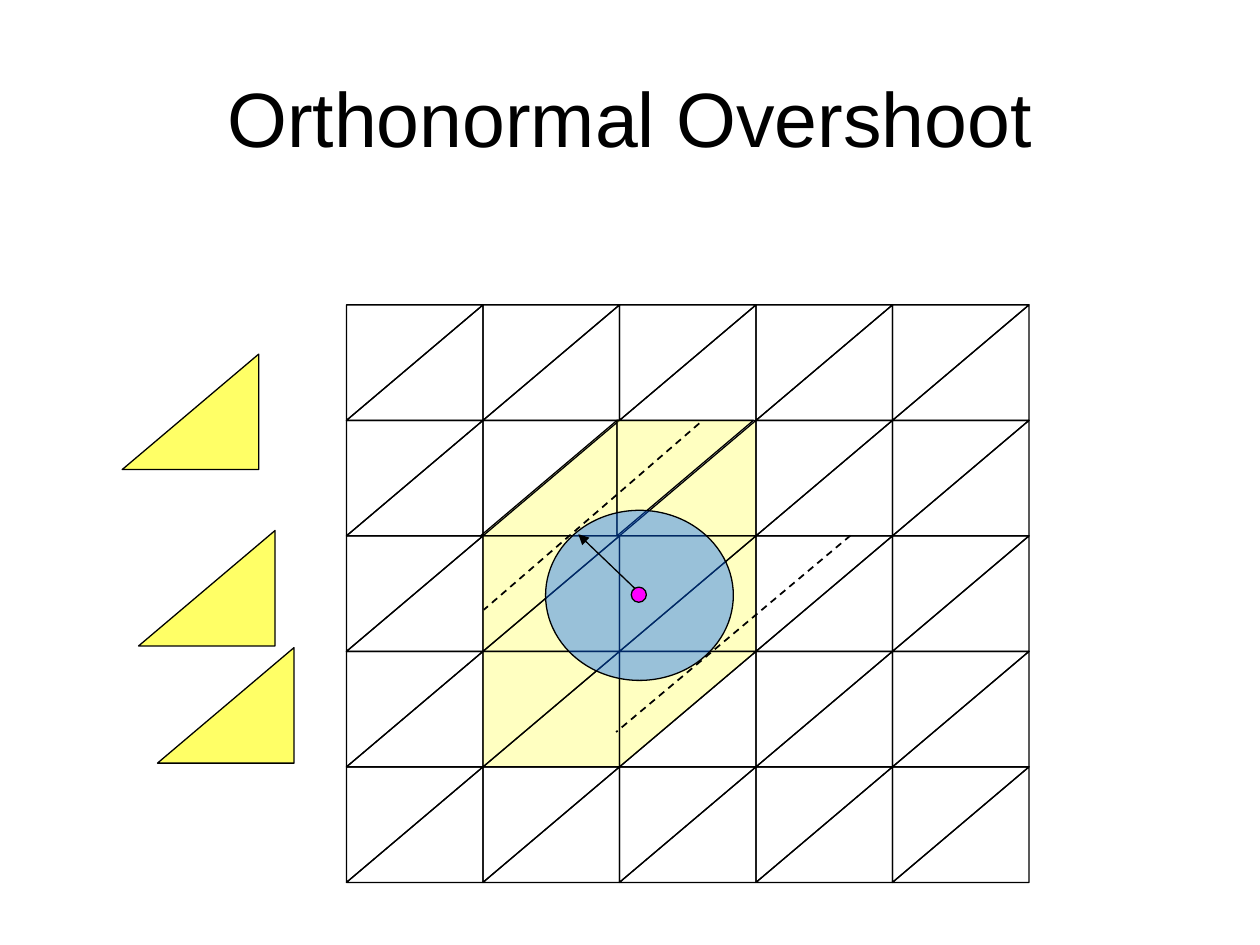
from dataclasses import dataclass

from lxml import etree
from pptx import Presentation
from pptx.dml.color import RGBColor
from pptx.enum.dml import MSO_LINE
from pptx.enum.shapes import MSO_CONNECTOR, MSO_SHAPE
from pptx.enum.text import MSO_ANCHOR, PP_ALIGN
from pptx.oxml.ns import qn
from pptx.util import Inches, Pt

TRIANGLE = MSO_SHAPE.RIGHT_TRIANGLE
ELLIPSE = MSO_SHAPE.OVAL
STRAIGHT = MSO_CONNECTOR.STRAIGHT
DASH = MSO_LINE.DASH

BLACK = "000000"
YELLOW = "FFFF66"
BLUE = "0066FF"
MAGENTA = "FF00FF"

ROWS = COLUMNS = 5
CELL_WIDTH, CELL_HEIGHT = 13 / 12, 11 / 12
GRID_LEFT, GRID_TOP = 2.75, 2.42
UPPER, LOWER = 90, 270  # rotation that puts the right angle top left / bottom right

# (row, column, half) of the shaded triangles, with their shift to the left
SHADED = {
    (1, 1, LOWER): 0.02,
    (1, 2, UPPER): 0.02,
    (1, 2, LOWER): 0,
    (2, 1, UPPER): 0,
    (2, 1, LOWER): 0,
    (2, 2, UPPER): 0,
    (2, 2, LOWER): 0,
    (3, 1, UPPER): 0,
    (3, 1, LOWER): 0,
    (3, 2, UPPER): 0,
}


@dataclass(frozen=True)
class Figure:
    kind: MSO_SHAPE
    left: float
    top: float
    width: float
    height: float
    fill: str | None = None
    opacity: int = 100
    rotation: int = 0


@dataclass(frozen=True)
class Segment:
    start: tuple[float, float]
    end: tuple[float, float]
    weight: float = 0.75
    dashed: bool = False
    arrow: bool = False


def rgb(color: str) -> RGBColor:
    return RGBColor.from_string(color)


def draw_figure(slide, figure: Figure) -> None:
    shape = slide.shapes.add_shape(
        figure.kind, Inches(figure.left), Inches(figure.top),
        Inches(figure.width), Inches(figure.height))
    shape.shadow.inherit = False
    shape.rotation = figure.rotation
    shape.line.color.rgb = rgb(BLACK)
    shape.line.width = Pt(0.75)
    if figure.fill is None:
        shape.fill.background()
        return
    shape.fill.solid()
    shape.fill.fore_color.rgb = rgb(figure.fill)
    if figure.opacity < 100:
        color = shape.fill._xPr.find(qn("a:solidFill"))[0]
        etree.SubElement(color, qn("a:alpha"), val=str(figure.opacity * 1000))


def draw_segment(slide, segment: Segment) -> None:
    points = [Inches(value) for value in (*segment.start, *segment.end)]
    connector = slide.shapes.add_connector(STRAIGHT, *points)
    connector.line.color.rgb = rgb(BLACK)
    connector.line.width = Pt(segment.weight)
    if segment.dashed:
        connector.line.dash_style = DASH
    if segment.arrow:
        etree.SubElement(connector.line._get_or_add_ln(), qn("a:tailEnd"), type="triangle")
    etree.SubElement(connector._element.spPr, qn("a:effectLst"))


def half_cell(left: float, top: float, half: int,
              fill: str | None = None, opacity: int = 100) -> Figure:
    """Triangle whose visible box starts at left, top; the turn swaps its sides."""
    inset = (CELL_WIDTH - CELL_HEIGHT) / 2
    return Figure(TRIANGLE, left + inset, top - inset, CELL_HEIGHT, CELL_WIDTH,
                  fill, opacity, half)


def draw_grid(slide) -> None:
    for row in range(ROWS):
        for column in range(COLUMNS):
            for half in (LOWER, UPPER):
                key = (row, column, half)
                left = GRID_LEFT + column * CELL_WIDTH - SHADED.get(key, 0)
                top = GRID_TOP + row * CELL_HEIGHT
                fill = YELLOW if key in SHADED else None
                draw_figure(slide, half_cell(left, top, half, fill, 40))


def add_title(slide, wording: str) -> None:
    title = slide.shapes.title
    title.left, title.top = Inches(0.5), Inches(0.3)
    title.width, title.height = Inches(9), Inches(1.25)
    frame = title.text_frame
    frame.text = wording
    frame.vertical_anchor = MSO_ANCHOR.MIDDLE
    paragraph = frame.paragraphs[0]
    paragraph.alignment = PP_ALIGN.CENTER
    font = paragraph.runs[0].font
    font.name, font.size = "Arial", Pt(44)
    font.color.rgb = rgb(BLACK)


def main() -> None:
    deck = Presentation()
    deck.slide_width, deck.slide_height = Inches(10), Inches(7.5)
    slide = deck.slides.add_slide(deck.slide_layouts[5])
    add_title(slide, "Orthonormal Overshoot")
    draw_grid(slide)

    draw_figure(slide, Figure(ELLIPSE, 4.33, 4.05, 1.49, 1.35, BLUE, 40))
    draw_segment(slide, Segment((5.07, 4.7), (4.59, 4.24), arrow=True))
    draw_figure(slide, Figure(ELLIPSE, 5.01, 4.66, 0.12, 0.12, MAGENTA))
    for start, end in (((5.55, 3.36), (3.84, 4.84)), ((6.75, 4.25), (4.89, 5.81))):
        draw_segment(slide, Segment(start, end, weight=1, dashed=True))

    for left, top in ((1.1, 4.21), (1.25, 5.14), (0.97, 2.81)):
        draw_figure(slide, half_cell(left, top, LOWER, YELLOW))

    deck.save("out.pptx")


if __name__ == "__main__":
    main()
